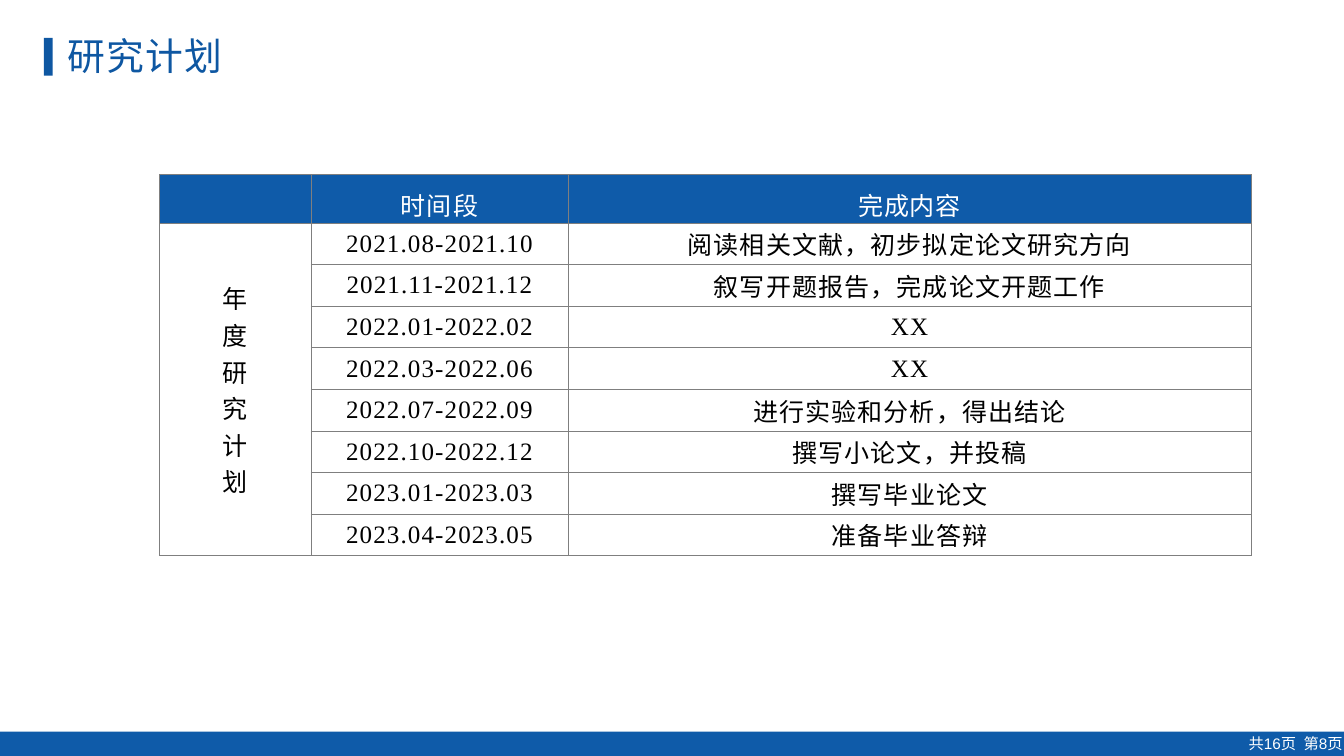
from lxml.etree import SubElement
from pptx import Presentation
from pptx.dml.color import RGBColor
from pptx.enum.shapes import MSO_SHAPE
from pptx.enum.text import MSO_ANCHOR, PP_ALIGN
from pptx.oxml.ns import qn
from pptx.util import Emu, Inches, Pt

BLUE = RGBColor(0x0F, 0x5B, 0xA9)
TITLE_BLUE = RGBColor(0x0E, 0x57, 0xA2)
WHITE = RGBColor(0xFF, 0xFF, 0xFF)
BLACK = RGBColor(0x00, 0x00, 0x00)
GREY = RGBColor(0x7F, 0x7F, 0x7F)

SLIDE_WIDTH, SLIDE_HEIGHT = Emu(20104100), Emu(11315700)
FOOTER_HEIGHT = 0.4
COLUMN_WIDTHS = [2.48, 4.2, 11.18]
HEADER_HEIGHT, ROW_HEIGHT = 0.78, 0.68
CJK_FONT, LATIN_FONT = "Noto Sans CJK JP", "Times New Roman"

HEADERS = ["", "时间段", "完成内容"]
PLAN_LABEL = "年度研究计划"
PLAN = [
    ("2021.08-2021.10", "阅读相关文献，初步拟定论文研究方向"),
    ("2021.11-2021.12", "叙写开题报告，完成论文开题工作"),
    ("2022.01-2022.02", "XX"),
    ("2022.03-2022.06", "XX"),
    ("2022.07-2022.09", "进行实验和分析，得出结论"),
    ("2022.10-2022.12", "撰写小论文，并投稿"),
    ("2023.01-2023.03", "撰写毕业论文"),
    ("2023.04-2023.05", "准备毕业答辩"),
]


def format_text(tf, size, color, font, align, spacing=0.0):
    """Format every run of a text frame; spacing is in points."""
    for p in tf.paragraphs:
        p.alignment = align
        for r in p.runs:
            r.font.size = Pt(size)
            r.font.bold = False
            r.font.name = font
            r.font.color.rgb = color
            rPr = r.font._element
            rPr.set("spc", str(round(spacing * 100)))
            SubElement(rPr, qn("a:ea")).set("typeface", CJK_FONT)


def set_margins(box, left=0.0, top=0.0, right=0.0):
    """Set the insets of a cell or text frame, in inches."""
    box.margin_left, box.margin_right = Inches(left), Inches(right)
    box.margin_top, box.margin_bottom = Inches(top), 0


def add_bar(slide, left, top, width, height, color):
    """Add a plain filled rectangle."""
    sp = slide.shapes.add_shape(
        MSO_SHAPE.RECTANGLE, Inches(left), Inches(top), Inches(width), Inches(height))
    sp.shadow.inherit = False
    sp.fill.solid()
    sp.fill.fore_color.rgb = color
    sp.line.fill.background()
    return sp


def add_title(slide, text):
    """Place the title beside its marker."""
    add_bar(slide, 0.72, 0.62, 0.14, 0.62, TITLE_BLUE)
    sp = slide.shapes.title
    sp.left, sp.top = Inches(1.09), Inches(0.53)
    sp.width, sp.height = Inches(3.8), Inches(0.76)
    tf = sp.text_frame
    tf.text = text
    tf.word_wrap = True
    tf.vertical_anchor = MSO_ANCHOR.MIDDLE
    set_margins(tf, left=0.01)
    format_text(tf, 44.5, TITLE_BLUE, CJK_FONT, PP_ALIGN.LEFT, 1.4)


def add_footer(slide, text):
    """Add the page count on a bar along the bottom edge."""
    sp = add_bar(slide, 0, SLIDE_HEIGHT.inches - FOOTER_HEIGHT,
                 SLIDE_WIDTH.inches, FOOTER_HEIGHT, BLUE)
    tf = sp.text_frame
    tf.text = text
    tf.vertical_anchor = MSO_ANCHOR.MIDDLE
    set_margins(tf, right=0.02)
    format_text(tf, 18, WHITE, "Arial", PP_ALIGN.RIGHT)


def set_borders(cell):
    """Draw a thin grey line on all four sides of a cell."""
    tcPr = cell._tc.get_or_add_tcPr()
    for side in ("lnL", "lnR", "lnT", "lnB"):
        ln = SubElement(tcPr, qn(f"a:{side}"), w=str(Pt(1)))
        fill = SubElement(ln, qn("a:solidFill"))
        SubElement(fill, qn("a:srgbClr"), val=str(GREY))


def fill_cell(cell, text, header=False, spacing=1.3):
    """Write and format one cell as a header or body cell."""
    set_borders(cell)
    cell.text = text
    if header:
        cell.fill.solid()
        cell.fill.fore_color.rgb = BLUE
    else:
        cell.fill.background()
    cell.vertical_anchor = MSO_ANCHOR.TOP if header else MSO_ANCHOR.MIDDLE
    set_margins(cell, top=0.2 if header else 0)
    color, font = (WHITE, CJK_FONT) if header else (BLACK, LATIN_FONT)
    format_text(cell.text_frame, 29.5, color, font, PP_ALIGN.CENTER, spacing)


def add_plan_table(slide):
    """Add the schedule with one label spanning all body rows."""
    height = HEADER_HEIGHT + ROW_HEIGHT * len(PLAN)
    table = slide.shapes.add_table(
        len(PLAN) + 1, len(HEADERS), Inches(2.61), Inches(2.86),
        Inches(sum(COLUMN_WIDTHS)), Inches(height)).table
    for column, width in zip(table.columns, COLUMN_WIDTHS):
        column.width = Inches(width)
    for i, row in enumerate(table.rows):
        row.height = Inches(ROW_HEIGHT if i else HEADER_HEIGHT)

    for j, (text, spacing) in enumerate(zip(HEADERS, (0, 1.8, 0.6))):
        fill_cell(table.cell(0, j), text, header=True, spacing=spacing)
    for i, (period, task) in enumerate(PLAN, start=1):
        label = "\n".join(PLAN_LABEL) if i == 1 else ""
        for j, text in enumerate((label, period, task)):
            fill_cell(table.cell(i, j), text)
    table.cell(1, 0).merge(table.cell(len(PLAN), 0))
    for p in table.cell(1, 0).text_frame.paragraphs:
        p.space_before = Pt(0.3)


def main():
    """Build the research plan slide."""
    prs = Presentation()
    prs.slide_width, prs.slide_height = SLIDE_WIDTH, SLIDE_HEIGHT
    slide = prs.slides.add_slide(prs.slide_layouts[5])
    add_footer(slide, "共16页\u2002第8页")
    add_plan_table(slide)
    add_title(slide, "研究计划")
    prs.save("out.pptx")


main()
